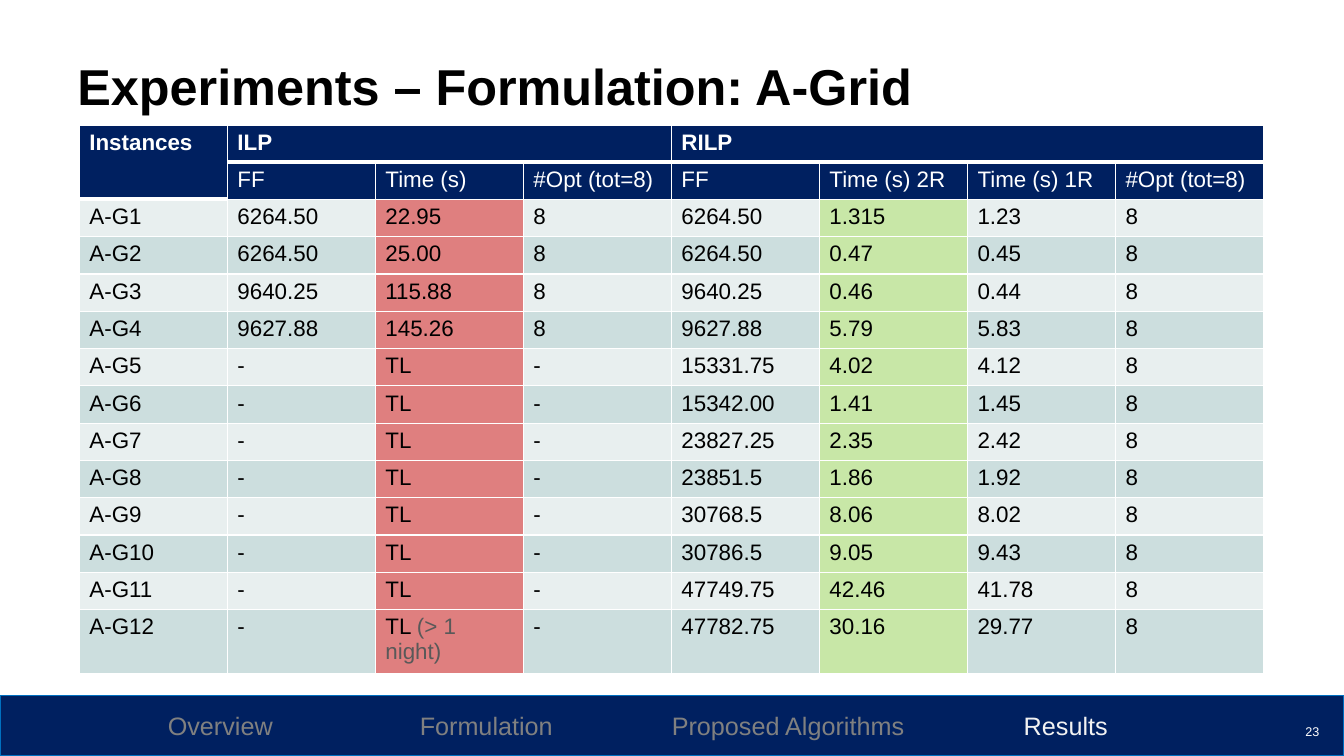
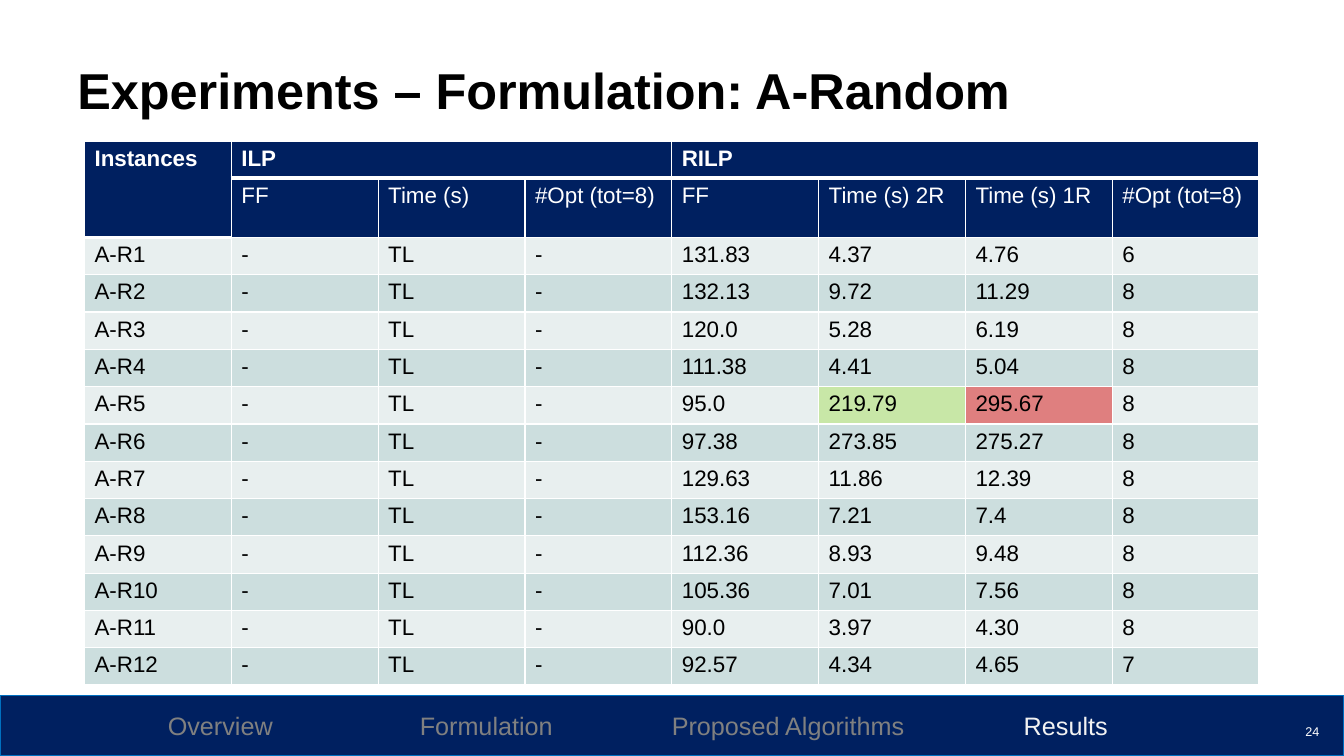
import pptx
import pptx.util
import pptx.dml.color
import pptx.enum.shapes
import pptx.enum.text
import pptx.oxml.ns
import lxml.etree

Cm = pptx.util.Cm
Pt = pptx.util.Pt

FONT = "Arial"
NAVY, BLUE, WHITE, BLACK = "002060", "0070C0", "FFFFFF", "000000"
MUTED, ACTIVE, REMARK = "808080", "F2F2F2", "595959"
STRIPES = ("E8EFEF", "CCDEDE")
SLOW, FAST = "C00000", "92D050"

SLIDE_WIDTH, SLIDE_HEIGHT = 33.87, 19.05
BAND_TOP = 17.53
SECTIONS = ["Overview", "Formulation", "Proposed Algorithms", "Results"]
CURRENT_SECTION = "Results"
SECTION_LEFT = 4.23
SECTION_STOPS = [6.35, 12.7, 21.57]

GROUPS = [("Instances", 0, 0, 1, 0), ("ILP", 0, 1, 0, 3), ("RILP", 0, 4, 0, 7)]
HEADINGS = ["FF", "Time (s)", "#Opt (tot=8)", "FF", "Time (s) 2R", "Time (s) 1R", "#Opt (tot=8)"]
HEADER_ROWS = 2
GROUP_HEIGHT, ROW_HEIGHT, TALL_HEIGHT = 0.9, 0.94, 1.49
UNSOLVED = ("-", "TL", "-")
TIME_ILP, TIME_2R, TIME_1R = 2, 5, 6

GRID_RESULTS = [
    ("6264.50", "22.95", "8", "6264.50", "1.315", "1.23", "8"),
    ("6264.50", "25.00", "8", "6264.50", "0.47", "0.45", "8"),
    ("9640.25", "115.88", "8", "9640.25", "0.46", "0.44", "8"),
    ("9627.88", "145.26", "8", "9627.88", "5.79", "5.83", "8"),
    (*UNSOLVED, "15331.75", "4.02", "4.12", "8"),
    (*UNSOLVED, "15342.00", "1.41", "1.45", "8"),
    (*UNSOLVED, "23827.25", "2.35", "2.42", "8"),
    (*UNSOLVED, "23851.5", "1.86", "1.92", "8"),
    (*UNSOLVED, "30768.5", "8.06", "8.02", "8"),
    (*UNSOLVED, "30786.5", "9.05", "9.43", "8"),
    (*UNSOLVED, "47749.75", "42.46", "41.78", "8"),
    ("-", ("TL ", "(> 1 night)"), "-", "47782.75", "30.16", "29.77", "8"),
]
RANDOM_RESULTS = [
    (*UNSOLVED, "131.83", "4.37", "4.76", "6"),
    (*UNSOLVED, "132.13", "9.72", "11.29", "8"),
    (*UNSOLVED, "120.0", "5.28", "6.19", "8"),
    (*UNSOLVED, "111.38", "4.41", "5.04", "8"),
    (*UNSOLVED, "95.0", "219.79", "295.67", "8"),
    (*UNSOLVED, "97.38", "273.85", "275.27", "8"),
    (*UNSOLVED, "129.63", "11.86", "12.39", "8"),
    (*UNSOLVED, "153.16", "7.21", "7.4", "8"),
    (*UNSOLVED, "112.36", "8.93", "9.48", "8"),
    (*UNSOLVED, "105.36", "7.01", "7.56", "8"),
    (*UNSOLVED, "90.0", "3.97", "4.30", "8"),
    (*UNSOLVED, "92.57", "4.34", "4.65", "7"),
]
GRID_MARKS = {
    (row, column): colour
    for row in range(len(GRID_RESULTS))
    for column, colour in ((TIME_ILP, SLOW), (TIME_2R, FAST))
}
RANDOM_MARKS = {(4, TIME_2R): FAST, (4, TIME_1R): SLOW}

SLIDES = [
    {"number": 23, "title": "Experiments – Formulation: A-Grid", "title_top": 1.45,
     "prefix": "A-G", "results": GRID_RESULTS, "marks": GRID_MARKS,
     "left": 2.0, "top": 3.15, "column_width": 3.73, "tall_row": 13},
    {"number": 24, "title": "Experiments – Formulation: A-Random", "title_top": 1.53,
     "prefix": "A-R", "results": RANDOM_RESULTS, "marks": RANDOM_MARKS,
     "left": 2.13, "top": 3.56, "column_width": 3.7, "tall_row": 1},
]


def rgb(colour):
    return pptx.dml.color.RGBColor.from_string(colour)


def style(font, size, colour, bold=False):
    font.name = FONT
    font.size = Pt(size)
    font.bold = bold
    font.color.rgb = rgb(colour)


def add_child(parent, tag, **attributes):
    return lxml.etree.SubElement(parent, pptx.oxml.ns.qn(tag), attributes)


def add_text(page, text, left, top, width, height, size, colour, bold=False):
    box = page.shapes.add_textbox(Cm(left), Cm(top), Cm(width), Cm(height))
    box.text_frame.word_wrap = True
    para = box.text_frame.paragraphs[0]
    para.text = text
    style(para.font, size, colour, bold)
    return box.text_frame


def add_band(page):
    band = page.shapes.add_shape(
        pptx.enum.shapes.MSO_SHAPE.RECTANGLE,
        0, Cm(BAND_TOP), Cm(SLIDE_WIDTH), Cm(SLIDE_HEIGHT - BAND_TOP))
    band.shadow.inherit = False
    band.fill.solid()
    band.fill.fore_color.rgb = rgb(NAVY)
    band.line.color.rgb = rgb(BLUE)
    band.line.width = Pt(1)
    frame = band.text_frame
    frame.margin_left = Cm(SECTION_LEFT)
    frame.vertical_anchor = pptx.enum.text.MSO_ANCHOR.MIDDLE
    para = frame.paragraphs[0]
    para.alignment = pptx.enum.text.PP_ALIGN.LEFT
    stops = add_child(para._p.get_or_add_pPr(), "a:tabLst")
    for stop in SECTION_STOPS:
        add_child(stops, "a:tab", pos=str(int(Cm(stop))), algn="l")
    for index, section in enumerate(SECTIONS):
        span = para.add_run()
        span.text = "\t" * (index > 0) + section
        style(span.font, 18, ACTIVE if section == CURRENT_SECTION else MUTED)


def fill_cell(cell, colour, alpha=100):
    cell.fill.solid()
    cell.fill.fore_color.rgb = rgb(colour)
    if alpha < 100:
        tint = cell._tc.tcPr.find(".//" + pptx.oxml.ns.qn("a:srgbClr"))
        add_child(tint, "a:alpha", val=str(alpha * 1000))


def border_cell(cell, row):
    widths = {"a:lnL": 1, "a:lnR": 1, "a:lnT": 3 if row == 1 else 1, "a:lnB": 3 if row == 0 else 1}
    properties = cell._tc.get_or_add_tcPr()
    for index, (side, width) in enumerate(widths.items()):
        line = add_child(properties, side, w=str(int(Pt(width))))
        add_child(add_child(line, "a:solidFill"), "a:srgbClr", val=WHITE)
        properties.insert(index, line)


def write_cell(cell, content, colour, bold=False):
    para = cell.text_frame.paragraphs[0]
    if isinstance(content, tuple):
        for text, tone in zip(content, (colour, REMARK)):
            span = para.add_run()
            span.text = text
            style(span.font, 16, tone)
    else:
        para.text = content
        style(para.font, 16, colour, bold)


def add_results(page, slide):
    body = [(f"{slide['prefix']}{number}", *values)
            for number, values in enumerate(slide["results"], 1)]
    heights = [GROUP_HEIGHT] + [ROW_HEIGHT] * (len(body) + 1)
    heights[slide["tall_row"]] = TALL_HEIGHT
    columns = len(HEADINGS) + 1
    table = page.shapes.add_table(
        len(heights), columns, Cm(slide["left"]), Cm(slide["top"]),
        Cm(columns * slide["column_width"]), Cm(sum(heights))).table
    for column in table.columns:
        column.width = Cm(slide["column_width"])
    for row, height in enumerate(heights):
        table.rows[row].height = Cm(height)
        for column in range(columns):
            cell = table.cell(row, column)
            mark = slide["marks"].get((row - HEADER_ROWS, column))
            if row < HEADER_ROWS:
                fill_cell(cell, NAVY)
            elif mark:
                fill_cell(cell, mark, 50)
            else:
                fill_cell(cell, STRIPES[row % 2])
            border_cell(cell, row)
            if row >= HEADER_ROWS:
                write_cell(cell, body[row - HEADER_ROWS][column], BLACK)
    for text, row, column, last_row, last_column in GROUPS:
        table.cell(row, column).merge(table.cell(last_row, last_column))
        write_cell(table.cell(row, column), text, WHITE, True)
    for column, heading in enumerate(HEADINGS, 1):
        write_cell(table.cell(1, column), heading, WHITE)


def add_slide(deck, slide):
    page = deck.slides.add_slide(deck.slide_layouts[6])
    add_band(page)
    title = add_text(page, slide["title"], 1.7, slide["title_top"], 29.59, 1.7, 36, BLACK, True)
    title.paragraphs[0].line_spacing = 0.9
    add_results(page, slide)
    number = add_text(page, str(slide["number"]), 32.31, 17.93, 1.19, 1.02, 9, WHITE)
    number.vertical_anchor = pptx.enum.text.MSO_ANCHOR.MIDDLE
    number.paragraphs[0].alignment = pptx.enum.text.PP_ALIGN.RIGHT


def main():
    deck = pptx.Presentation()
    deck.slide_width = Cm(SLIDE_WIDTH)
    deck.slide_height = Cm(SLIDE_HEIGHT)
    for slide in SLIDES:
        add_slide(deck, slide)
    deck.save("out.pptx")


if __name__ == "__main__":
    main()
